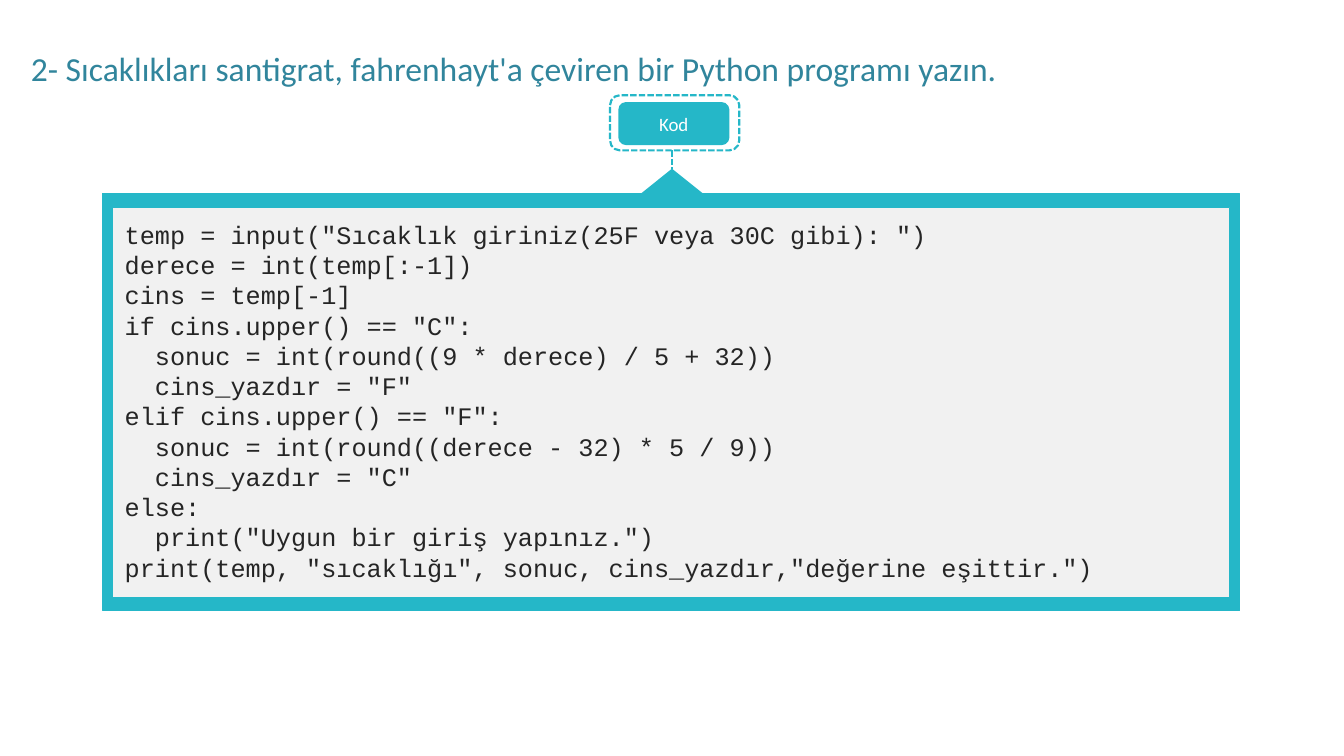
import pptx
import pptx.dml.color
import pptx.enum.dml
import pptx.enum.shapes
import pptx.enum.text
import pptx.oxml.ns
import pptx.util
from lxml import etree

Inches = pptx.util.Inches
Pt = pptx.util.Pt
Shape = pptx.enum.shapes.MSO_SHAPE

CODE = '''temp = input("Sıcaklık giriniz(25F veya 30C gibi): ")
derece = int(temp[:-1])
cins = temp[-1]
if cins.upper() == "C":
  sonuc = int(round((9 * derece) / 5 + 32))
  cins_yazdır = "F"
elif cins.upper() == "F":
  sonuc = int(round((derece - 32) * 5 / 9))
  cins_yazdır = "C"
else:
  print("Uygun bir giriş yapınız.")
print(temp, "sıcaklığı", sonuc, cins_yazdır,"değerine eşittir.")'''


def rgb(value):
    return pptx.dml.color.RGBColor.from_string(value)


def write(frame, text, font="Calibri", size=18, color="FFFFFF", spacing=None):
    for number, line in enumerate(text.split("\n")):
        paragraph = frame.add_paragraph() if number else frame.paragraphs[0]
        if spacing:
            paragraph.line_spacing = Pt(spacing)
        run = paragraph.add_run()
        run.text = line
        run.font.name = font
        run.font.size = Pt(size)
        run.font.color.rgb = rgb(color)


class CodeSlide:
    """Holds the style and the current slide, and draws its elements."""

    accent = "25B7C8"
    paper = "F1F1F1"
    ink = "252525"
    heading = "31859C"

    def __init__(self, deck):
        self.slide = deck.slides.add_slide(deck.slide_layouts[6])

    def stroke(self, line, width, dashed):
        line.color.rgb = rgb(self.accent)
        line.width = Pt(width)
        if dashed:
            line.dash_style = pptx.enum.dml.MSO_LINE.SQUARE_DOT

    def panel(self, kind, box, fill=None, width=0.96, dashed=False, corner=None):
        shape = self.slide.shapes.add_shape(kind, *map(Inches, box))
        shape.shadow.inherit = False
        if corner is not None:
            shape.adjustments[0] = corner
        if fill:
            shape.fill.solid()
            shape.fill.fore_color.rgb = rgb(fill)
        else:
            shape.fill.background()
        if width:
            self.stroke(shape.line, width, dashed)
        else:
            shape.line.fill.background()
        return shape

    def stem(self, start, end, target):
        line = self.slide.shapes.add_connector(
            pptx.enum.shapes.MSO_CONNECTOR.STRAIGHT, *map(Inches, start + end))
        line.end_connect(target, 0)
        self.stroke(line.line, 2, True)
        etree.SubElement(line.line._get_or_add_ln().getparent(),
                         pptx.oxml.ns.qn("a:effectLst"))

    def text(self, box, words, wrap=True, margins=(0.1, 0.05, 0.1, 0.05), **style):
        frame = self.slide.shapes.add_textbox(*map(Inches, box)).text_frame
        frame.word_wrap = wrap
        frame.vertical_anchor = pptx.enum.text.MSO_ANCHOR.TOP
        (frame.margin_left, frame.margin_top,
         frame.margin_right, frame.margin_bottom) = map(Inches, margins)
        write(frame, words, **style)


def main():
    deck = pptx.Presentation()
    deck.slide_width = Inches(17.78)
    deck.slide_height = Inches(10)
    page = CodeSlide(deck)

    page.panel(Shape.ROUNDED_RECTANGLE, (8.07, 1.26, 1.71, 0.73),
               width=2.04, dashed=True, corner=0.18)
    page.panel(Shape.ROUNDED_RECTANGLE, (8.18, 1.35, 1.47, 0.57),
               fill=page.accent, width=0, corner=0.18)
    pointer = page.panel(Shape.ISOSCELES_TRIANGLE, (8.49, 2.24, 0.8, 0.32),
                         fill=page.accent)
    page.stem((8.89, 1.99), (8.89, 2.24), pointer)
    page.panel(Shape.RECTANGLE, (1.36, 2.56, 15.04, 5.52), fill=page.accent)
    page.panel(Shape.RECTANGLE, (1.49, 2.74, 14.78, 5.16), fill=page.paper)

    page.text((0.72, 2.73, 15.83, 5.02), CODE, margins=(0.93, 0.17, 0, 0),
              font="Courier New", size=24, color=page.ink, spacing=28.8)
    page.text((8.62, 1.44, 0.59, 0.4), "Kod", wrap=False)
    page.text((0.31, 0.58, 17, 0.64),
              "2- Sıcaklıkları santigrat, fahrenhayt'a çeviren bir Python programı yazın.",
              size=32, color=page.heading)
    deck.save("out.pptx")


if __name__ == "__main__":
    main()
